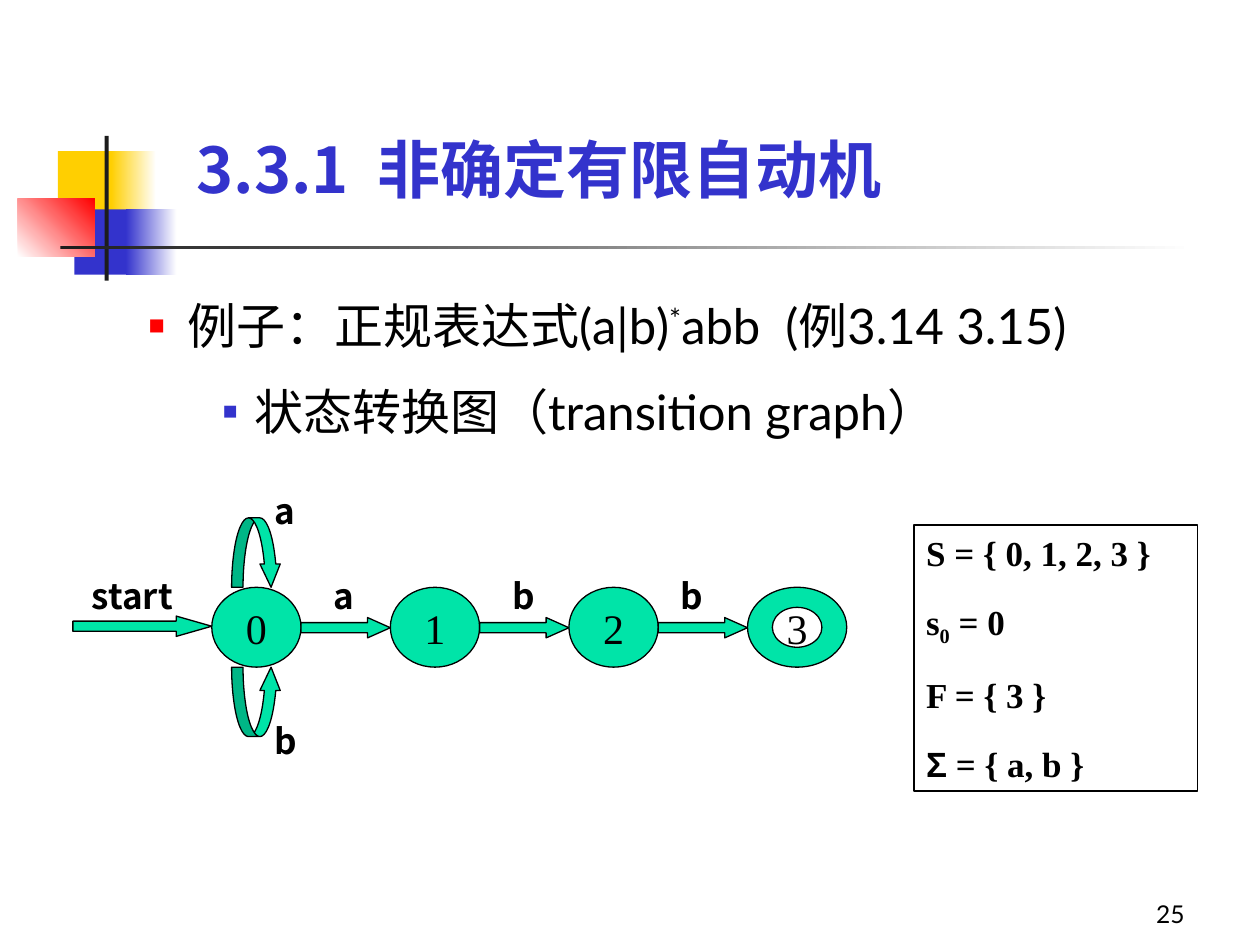
from pptx import Presentation
from pptx.util import Cm, Pt
from pptx.dml.color import RGBColor
from pptx.enum.shapes import MSO_SHAPE
from pptx.enum.text import MSO_ANCHOR, MSO_AUTO_SIZE, PP_ALIGN
from pptx.oxml.ns import qn
from lxml.etree import SubElement

GREEN, BLUE, RED, GOLD = "00E4A8", "3333CC", "FF0000", "FFCF01"
DARK, BLACK, WHITE = "1C1C1C", "000000", "FFFFFF"
LATO, NOTO, TIMES = "Lato", "Noto Sans CJK SC", "Times New Roman"


def color(code):
    return RGBColor.from_string(code)


def place(item, box):
    item.left, item.top, item.width, item.height = (Cm(n) for n in box)


def style(run, size, font, tint=BLACK, bold=False):
    run.font.size = Pt(size)
    run.font.name = font
    run.font.bold = bold
    run.font.color.rgb = color(tint)
    SubElement(run.font._element, qn("a:ea")).set("typeface", NOTO)


def write(para, parts, size, font, tint=BLACK, bold=False):
    para.text = parts[0][0]
    for text, _ in parts[1:]:
        para.add_run().text = text
    for run, (_, base) in zip(para.runs, parts):
        style(run, size, font, tint, bold)
        if base:
            run.font._element.set("baseline", str(base * 1000))


def shape(slide, kind, box, fill=None, line=None, width=0.75, adjust=()):
    item = slide.shapes.add_shape(kind, *(Cm(n) for n in box))
    item.shadow.inherit = False
    if fill:
        item.fill.solid()
        item.fill.fore_color.rgb = color(fill)
    else:
        item.fill.background()
    if line:
        item.line.color.rgb = color(line)
        item.line.width = Pt(width)
    else:
        item.line.fill.background()
    for num, value in enumerate(adjust):
        item.adjustments[num] = value
    return item


def fade(slide, box, start, end, angle=0):
    item = shape(slide, MSO_SHAPE.RECTANGLE, box, start)
    item.fill.gradient()
    item.fill.gradient_angle = angle
    for stop, code in zip(item.fill.gradient_stops, (start, end)):
        stop.color.rgb = color(code)


def bullet(holder, box, parts, level, left, hang, tint, scale):
    place(holder, box)
    frame = holder.text_frame
    frame.auto_size = MSO_AUTO_SIZE.NONE
    para = frame.paragraphs[0]
    write(para, parts, 28, LATO)
    para.level = level
    para.line_spacing = 1.2
    para.space_before = Pt(7)
    props = para._p.get_or_add_pPr()
    props.set("marL", str(Cm(left)))
    props.set("indent", str(-Cm(hang)))
    shade = SubElement(props, qn("a:buClr"))
    SubElement(shade, qn("a:srgbClr")).set("val", tint)
    SubElement(props, qn("a:buSzPct")).set("val", str(scale * 1000))
    SubElement(props, qn("a:buFont")).set("typeface", "Arial")
    SubElement(props, qn("a:buChar")).set("char", "■")


def label(slide, text, left, top, width=0.81):
    item = slide.shapes.add_textbox(Cm(left), Cm(top), Cm(width), Cm(1.12))
    frame = item.text_frame
    frame.word_wrap = True
    frame.auto_size = MSO_AUTO_SIZE.SHAPE_TO_FIT_TEXT
    frame.vertical_anchor = MSO_ANCHOR.BOTTOM
    para = frame.paragraphs[0]
    para.alignment = PP_ALIGN.CENTER
    para.space_before = Pt(12.5)
    write(para, [(text, 0)], 20, NOTO, bold=True)


def state(slide, box, text="", fill=GREEN):
    item = shape(slide, MSO_SHAPE.OVAL, box, fill, BLACK)
    if text:
        frame = item.text_frame
        frame.word_wrap = False
        frame.vertical_anchor = MSO_ANCHOR.MIDDLE
        frame.paragraphs[0].alignment = PP_ALIGN.CENTER
        write(frame.paragraphs[0], [(text, 0)], 24, TIMES)


def arrow(slide, kind, box, adjust):
    shape(slide, kind, box, GREEN, BLACK, adjust=adjust)


def decor(slide):
    shape(slide, MSO_SHAPE.RECTANGLE, (1.17, 3.05, 1.22, 1.32), GOLD)
    fade(slide, (2.24, 3.05, 0.91, 1.32), GOLD, WHITE)
    shape(slide, MSO_SHAPE.RECTANGLE, (1.5, 4.22, 1.17, 1.32), BLUE)
    fade(slide, (2.54, 4.22, 1.02, 1.32), BLUE, WHITE)
    fade(slide, (0.36, 4.01, 1.55, 1.17), WHITE, RED, 45)
    shape(slide, MSO_SHAPE.RECTANGLE, (2.11, 2.74, 0.08, 2.92), DARK)
    fade(slide, (1.22, 4.95, 22.86, 0.08), DARK, WHITE)


def graph(slide):
    left, top, wide, high, step = 4.27, 11.84, 1.8, 1.61, 3.6
    arrow(slide, MSO_SHAPE.RIGHT_ARROW, (1.47, 12.42, 2.8, 0.41), (0.5, 1.75))
    for num in range(3):
        spot = left + num * step
        state(slide, (spot, top, wide, high), str(num))
        arrow(slide, MSO_SHAPE.RIGHT_ARROW,
              (spot + wide, 12.45, step - wide, 0.41), (0.5, 1.12))
    last, span = left + 3 * step, 2.0
    state(slide, (last, top, span, high))
    state(slide, (last + span / 4, top + high / 4, span / 2, high / 2), "3", WHITE)
    bend = (0.23, 0.41, 0.47)
    arrow(slide, MSO_SHAPE.CURVED_DOWN_ARROW, (4.67, top - 1.4, 1, 1.4), bend)
    arrow(slide, MSO_SHAPE.CURVED_UP_ARROW, (4.67, top + high, 1, 1.4), bend)
    label(slide, "start", 1.27, 11.43, 2.79)
    for text, spot, row in (("a", 6.48, 11.43), ("b", 10.08, 11.43),
                            ("b", 13.46, 11.43), ("a", 5.28, 9.73),
                            ("b", 5.28, 14.35)):
        label(slide, text, spot, row)


def sets(slide):
    item = shape(slide, MSO_SHAPE.RECTANGLE, (18.42, 10.59, 5.72, 5.36),
                 line=BLACK, width=1)
    frame = item.text_frame
    frame.vertical_anchor = MSO_ANCHOR.TOP
    rows = ([("S = { 0, 1, 2, 3 }", 0)],
            [("s", 0), ("0", -25), (" = 0", 0)],
            [("F = { 3 }", 0)],
            [("Σ", 0), (" = { a, b }", 0)])
    for num, parts in enumerate(rows):
        para = frame.add_paragraph() if num else frame.paragraphs[0]
        para.alignment = PP_ALIGN.LEFT
        para.space_before = Pt(12.5)
        para.line_spacing = 1.1 if num else 1.0
        write(para, parts, 20, TIMES, bold=True)
    para.runs[0].font.name = "Arial"


def head(slide):
    title = slide.shapes.title
    place(title, (3.71, 1.93, 18.95, 2.36))
    frame = title.text_frame
    frame.auto_size = MSO_AUTO_SIZE.NONE
    frame.vertical_anchor = MSO_ANCHOR.BOTTOM
    frame.paragraphs[0].alignment = PP_ALIGN.LEFT
    write(frame.paragraphs[0], [("3.3.1  非确定有限自动机", 0)], 36, NOTO, BLUE, True)


def folio(slide):
    item = slide.shapes.add_textbox(Cm(18.85), Cm(17.58), Cm(5.28), Cm(1.27))
    frame = item.text_frame
    frame.word_wrap = True
    frame.vertical_anchor = MSO_ANCHOR.BOTTOM
    frame.paragraphs[0].alignment = PP_ALIGN.RIGHT
    write(frame.paragraphs[0], [("25", 0)], 14, LATO)


def main():
    deck = Presentation()
    deck.slide_width, deck.slide_height = Cm(25.4), Cm(19.05)
    slide = deck.slides.add_slide(deck.slide_layouts[3])
    decor(slide)
    head(slide)
    bullet(slide.placeholders[1], (1.47, 5.59, 21.79, 1.8),
           [("例子：正规表达式(a|b)", 0), ("*", 30), ("abb  (例3.14 3.15)", 0)],
           1, 2.06, 0.79, RED, 55)
    bullet(slide.placeholders[2], (1.7, 7.32, 21.79, 1.8),
           [("状态转换图（transition graph）", 0)], 2, 3.18, 0.64, BLUE, 50)
    graph(slide)
    sets(slide)
    folio(slide)
    deck.save("out.pptx")


if __name__ == "__main__":
    main()
